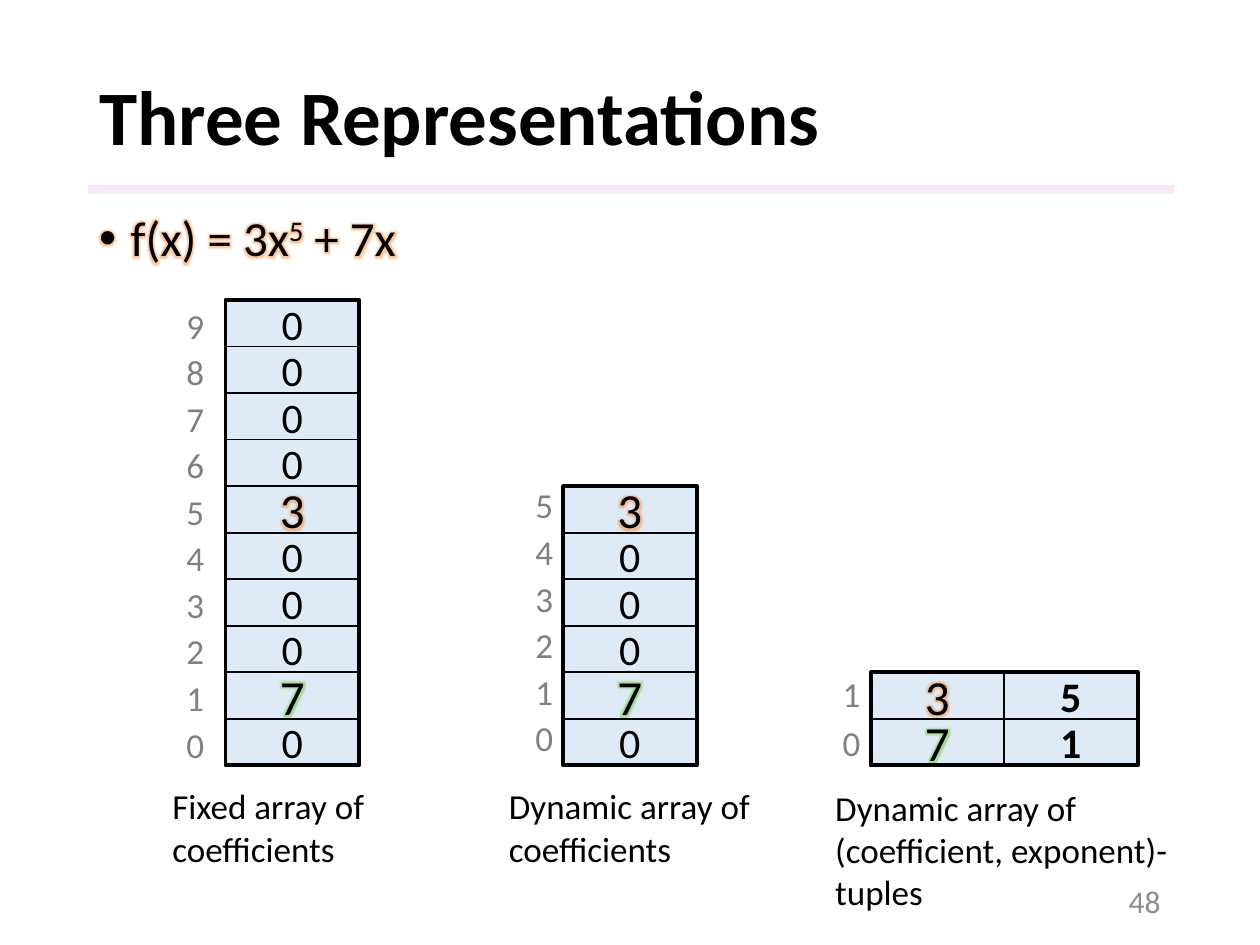
from lxml import etree
from pptx import Presentation
from pptx.dml.color import RGBColor
from pptx.enum.shapes import MSO_SHAPE
from pptx.enum.text import MSO_ANCHOR, PP_ALIGN
from pptx.oxml import parse_xml
from pptx.oxml.ns import qn
from pptx.util import Pt

RECTANGLE = MSO_SHAPE.RECTANGLE
MIDDLE, TOP = MSO_ANCHOR.MIDDLE, MSO_ANCHOR.TOP
LEFT, CENTER, RIGHT = PP_ALIGN.LEFT, PP_ALIGN.CENTER, PP_ALIGN.RIGHT
NAMESPACE = "http://schemas.openxmlformats.org/drawingml/2006/main"
BLACK, GRAY, CELL_BLUE = "000000", "808080", "DEEBF7"
ORANGE_GLOW, GREEN_GLOW = "F4A060", "80D050"
GLOWS = {"3": ORANGE_GLOW, "7": GREEN_GLOW}


def paint(fill, color):
    fill.solid()
    fill.fore_color.rgb = RGBColor.from_string(color)


def write(para, text, size, color=BLACK, bold=False, glow=None):
    span = para.add_run()
    span.text = text
    paint(span.font.fill, color)
    if glow:
        span.font.fill._xPr.append(parse_xml(
            f'<a:effectLst xmlns:a="{NAMESPACE}"><a:glow rad="63500">'
            f'<a:srgbClr val="{glow}"><a:alpha val="60000"/></a:srgbClr>'
            '</a:glow></a:effectLst>'))
    span.font.name = "Calibri"
    span.font.size = Pt(size)
    span.font.bold = bold
    return span


deck = Presentation()
deck.slide_width, deck.slide_height = Pt(720), Pt(540)
page = deck.slides.add_slide(deck.slide_layouts[1])

rule = page.shapes.add_shape(RECTANGLE, Pt(50.4), Pt(105.8), Pt(620.6), Pt(5))
rule.shadow.inherit = False
paint(rule.fill, "F3D2F4")
rule.line.fill.background()
rule_color = rule.fill._xPr.find(qn("a:solidFill"))[0]
etree.SubElement(rule_color, qn("a:alpha")).set("val", "50000")

title = page.shapes.title
title.left, title.top, title.width, title.height = Pt(49.5), Pt(28.8), Pt(621), Pt(80)
title.text_frame.vertical_anchor = MIDDLE
para = title.text_frame.paragraphs[0]
para.alignment = LEFT
para.line_spacing = 0.9
write(para, "Three Representations", 44, bold=True)

body = page.placeholders[1]
body.left, body.top, body.width, body.height = Pt(49.5), Pt(118.8), Pt(621), Pt(50.4)
body.text_frame.vertical_anchor = TOP
para = body.text_frame.paragraphs[0]
para.line_spacing = 0.9
para.space_before = Pt(0)
properties = para._p.get_or_add_pPr()
properties.set("marL", str(Pt(18)))
properties.set("indent", str(-Pt(18)))
etree.SubElement(properties, qn("a:buFont")).set("typeface", "Arial")
etree.SubElement(properties, qn("a:buChar")).set("char", "•")
for text, baseline in [("f(x) = 3x", 0), ("5", 30000), (" + 7x", 0)]:
    span = write(para, text, 28, glow=ORANGE_GLOW)
    span.font._rPr.set("baseline", str(baseline))

cell_width, cell_height, array_bottom = 76.3, 26.6, 437.4
arrays = [
    (128.9, ["0", "0", "0", "0", "3", "0", "0", "0", "7", "0"], 99.4, 409.6, 26.6),
    (321.8, ["3", "0", "0", "0", "7", "0"], 298.8, 406, 26.6),
    (497.5, ["35", "71"], 474.5, 409, 28),
]
for left, rows, label_left, label_bottom, label_step in arrays:
    top = array_bottom - len(rows) * cell_height
    for row, values in enumerate(rows):
        for column, value in enumerate(values):
            cell = page.shapes.add_shape(
                RECTANGLE, Pt(left + column * cell_width), Pt(top + row * cell_height),
                Pt(cell_width), Pt(cell_height))
            cell.shadow.inherit = False
            paint(cell.fill, CELL_BLUE)
            paint(cell.line.fill, BLACK)
            cell.line.width = Pt(1)
            cell.text_frame.vertical_anchor = MIDDLE
            para = cell.text_frame.paragraphs[0]
            para.alignment = CENTER
            glow = GLOWS.get(value)
            write(para, value, 28 if glow else 24, bold=column == 1, glow=glow)

    frame = page.shapes.add_shape(
        RECTANGLE, Pt(left), Pt(top), Pt(len(rows[0]) * cell_width),
        Pt(len(rows) * cell_height))
    frame.shadow.inherit = False
    frame.fill.background()
    paint(frame.line.fill, BLACK)
    frame.line.width = Pt(2.25)

    for index in range(len(rows)):
        box = page.shapes.add_textbox(
            Pt(label_left), Pt(label_bottom - index * label_step), Pt(75), Pt(31.5))
        box.text_frame.word_wrap = True
        write(box.text_frame.paragraphs[0], str(index), 20, GRAY)

captions = [
    (91.4, 445, 152.6, 55.7, "Fixed array of coefficients"),
    (283.7, 445, 152.6, 55.7, "Dynamic array of coefficients"),
    (470.2, 445.7, 218.2, 80, "Dynamic array of (coefficient, exponent)-tuples"),
]
for left, top, width, height, text in captions:
    box = page.shapes.add_textbox(Pt(left), Pt(top), Pt(width), Pt(height))
    box.text_frame.word_wrap = True
    write(box.text_frame.paragraphs[0], text, 20)

number = page.shapes.add_textbox(Pt(508.3), Pt(500.4), Pt(162), Pt(28.8))
number.text_frame.word_wrap = True
number.text_frame.vertical_anchor = MIDDLE
para = number.text_frame.paragraphs[0]
para.alignment = RIGHT
write(para, "48", 18, "8C8C8C")

deck.save("out.pptx")
